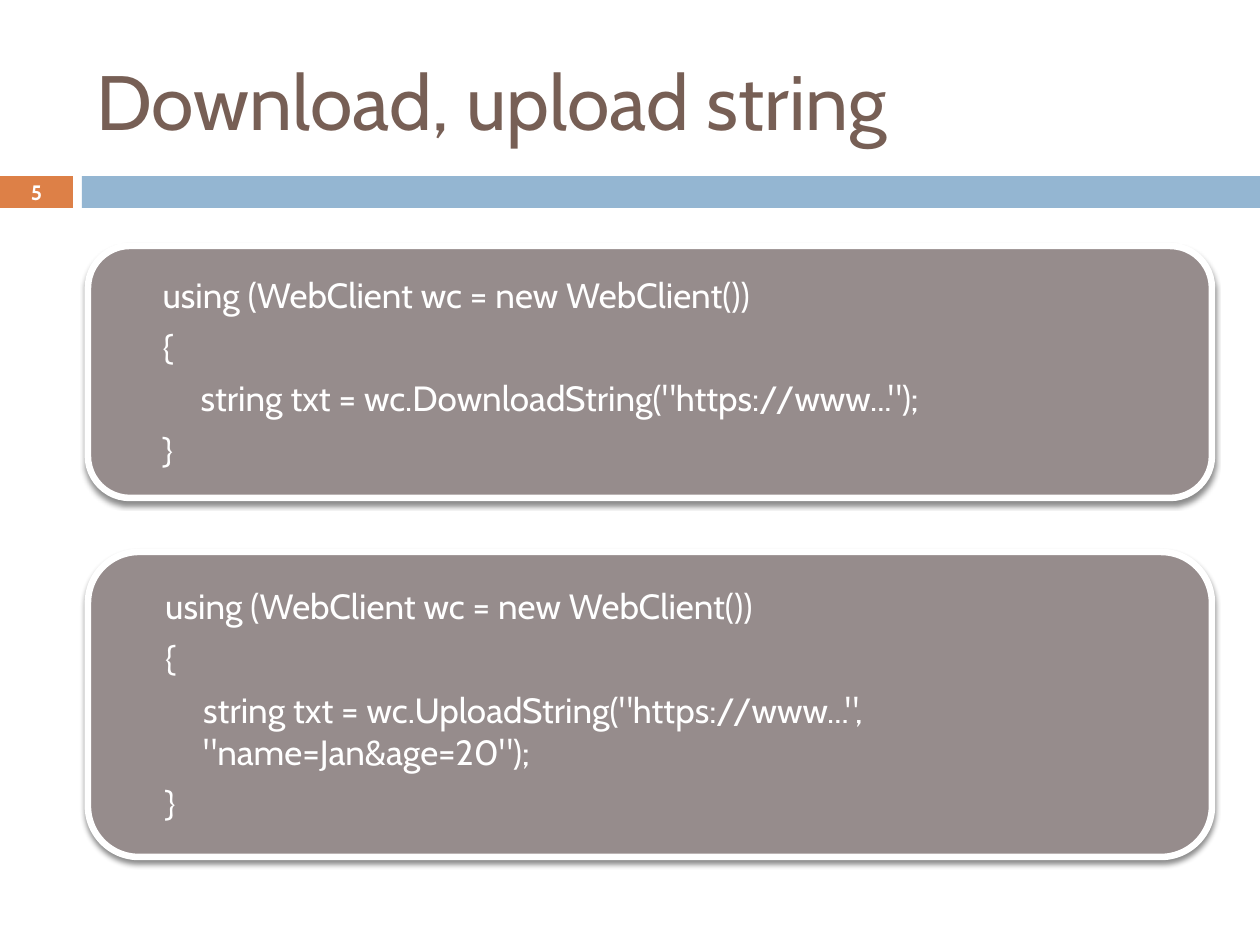
import pptx
import pptx.util
import pptx.oxml
import pptx.dml.color
import pptx.enum.shapes
import pptx.enum.text
import lxml.etree

SCALE = 914400 / 126  # EMU in one px
COLORS = {
    "title": "775F55",
    "number": "DD8047",
    "band": "94B6D2",
    "card": "968C8C",
    "light": "FFFFFF",
    "shadow": "000000",
}
KINDS = pptx.enum.shapes.MSO_SHAPE
ALIGN = pptx.enum.text.PP_ALIGN
SHADOW = (
    '<a:outerShdw xmlns:a="http://schemas.openxmlformats.org/drawingml/2006/main"'
    ' blurRad="38100" dist="30480" dir="5400000" rotWithShape="0">'
    f'<a:srgbClr val="{COLORS["shadow"]}"><a:alpha val="45000"/></a:srgbClr>'
    "</a:outerShdw>"
)


def emu(px):
    return pptx.util.Emu(round(px * SCALE))


def color(name):
    return pptx.dml.color.RGBColor.from_string(COLORS[name])


def style(item, values):
    for name, value in values.items():
        setattr(item, name, value)


def shape(slide, kind, box, fill):
    item = slide.shapes.add_shape(kind, *map(emu, box))
    item.shadow.inherit = False
    item.fill.solid()
    item.fill.fore_color.rgb = color(fill)
    item.line.fill.background()
    return item


def write(frame, lines, size, tint, para, bold=False):
    """Fill a text frame with one paragraph for each line."""
    style(frame, {"word_wrap": True,
                  "vertical_anchor": pptx.enum.text.MSO_ANCHOR.MIDDLE})
    for row, line in enumerate(lines):
        part = frame.add_paragraph() if row else frame.paragraphs[0]
        style(part, para)
        run = part.add_run()
        run.text = line
        style(run.font, {"name": "Cabin", "size": pptx.util.Pt(size), "bold": bold})
        run.font.color.rgb = color(tint)


def label(slide, box, text, size, tint, align, bold=False):
    item = slide.shapes.add_textbox(*map(emu, box))
    write(item.text_frame, [text], size, tint, {"alignment": align}, bold)


def header(slide, box):
    """Title, with the slide number and the band below it."""
    left, top, width, height = box
    cell, gap, band = 73, 9, 32
    base = top + height - band
    shape(slide, KINDS.RECTANGLE, (left, base, cell, band), "number")
    start = left + cell + gap
    shape(slide, KINDS.RECTANGLE, (start, base, width - cell - gap, band), "band")
    label(slide, (left + 84, top + 32, 1124, 136),
          "Download, upload string", 44, "title", ALIGN.LEFT)
    label(slide, (left, base - 1, cell, band + 2), "5", 11.9, "light",
          ALIGN.CENTER, True)


def card(slide, box, call):
    """Rounded panel with a code block around one call."""
    item = shape(slide, KINDS.ROUNDED_RECTANGLE, box, "card")
    item.line.color.rgb = color("light")
    item.line.width = pptx.util.Pt(3.75)
    # soft shadow in the effect list
    effects = item.element.spPr.find(pptx.oxml.ns.qn("a:effectLst"))
    effects.append(lxml.etree.fromstring(SHADOW))
    # code, with a hanging indent
    lines = ["using (WebClient wc = new WebClient())", "{", "\t" + call, "}"]
    para = {"alignment": ALIGN.LEFT, "level": 1, "space_before": pptx.util.Pt(5.5)}
    write(item.text_frame, lines, 20, "light", para)
    for part in item.text_frame.paragraphs:
        props = part._p.get_or_add_pPr()
        props.set("marL", str(emu(88)))
        props.set("indent", str(emu(-38)))


def main():
    deck = pptx.Presentation()
    style(deck, {"slide_width": emu(1260), "slide_height": emu(945)})
    slide = deck.slides.add_slide(deck.slide_layouts[6])
    header(slide, (0, 0, 1260, 208))
    card(slide, (88, 246, 1124, 252),
         'string txt = wc.DownloadString("https://www...");')
    card(slide, (88, 552, 1124, 305),
         'string txt = wc.UploadString("https://www...", "name=Jan&age=20");')
    deck.save("out.pptx")


if __name__ == "__main__":
    main()
